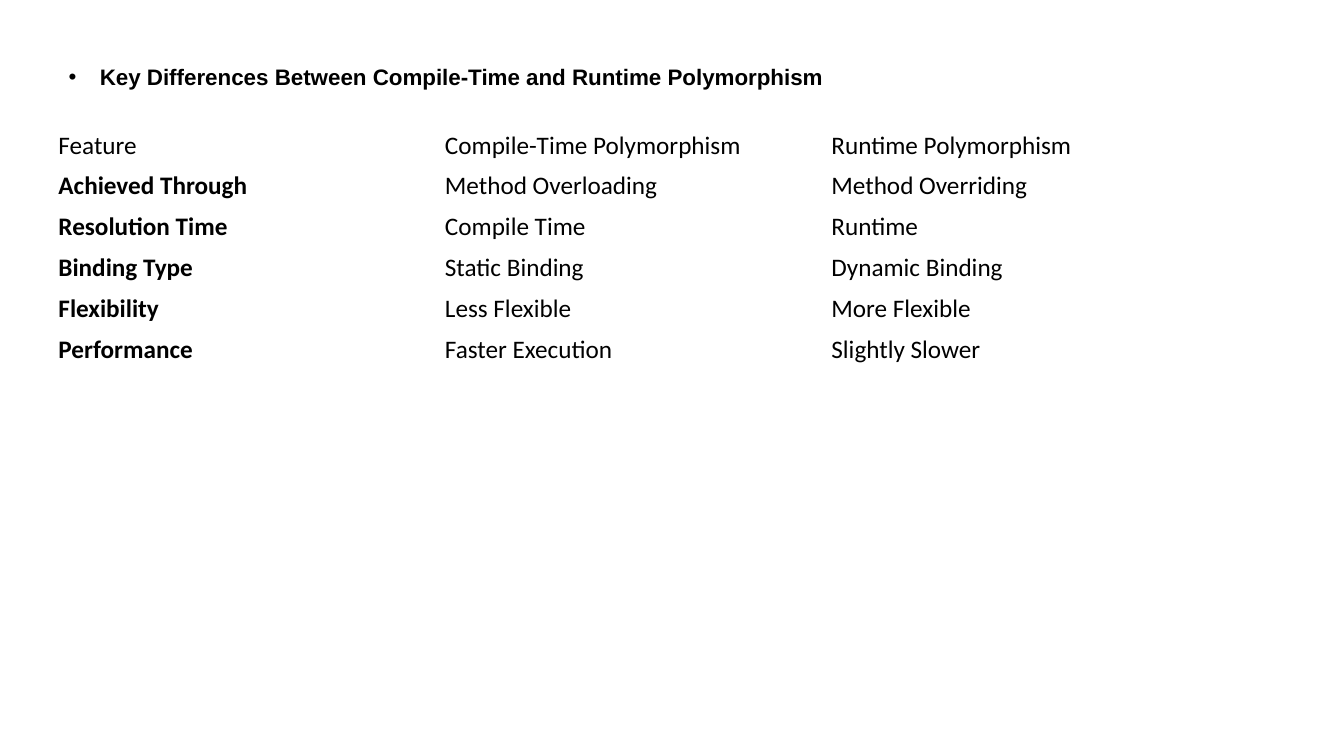
from lxml import etree
from pptx import Presentation
from pptx.dml.color import RGBColor
from pptx.enum import text
from pptx.oxml import ns
from pptx.util import Inches, Pt

# Content
HEADING = "Key Differences Between Compile-Time and Runtime Polymorphism"
ROWS = [
    ("Feature", "Compile-Time Polymorphism", "Runtime Polymorphism"),
    ("Achieved Through", "Method Overloading", "Method Overriding"),
    ("Resolution Time", "Compile Time", "Runtime"),
    ("Binding Type", "Static Binding", "Dynamic Binding"),
    ("Flexibility", "Less Flexible", "More Flexible"),
    ("Performance", "Faster Execution", "Slightly Slower"),
]
COLORS = {"text": "000000"}
ROW_HEIGHT = 0.4
TABLE_WIDTH = 11.5


def style(para, font_name, size, bold):
    for span in para.runs:
        span.font.name = font_name
        span.font.size = Pt(size)
        span.font.bold = bold
        span.font.color.rgb = RGBColor.from_string(COLORS["text"])


def add_bullet(para, indent):
    props = para._p.get_or_add_pPr()
    props.set("marL", str(Inches(indent)))
    props.set("indent", str(-Inches(indent)))
    etree.SubElement(props, ns.qn("a:buFont")).set("typeface", "Arial")
    etree.SubElement(props, ns.qn("a:buChar")).set("char", "•")


def add_heading(page):
    box = page.shapes.title
    box.left, box.top = Inches(0.58), Inches(0.56)
    box.width, box.height = Inches(12.5), Inches(0.67)
    frame = box.text_frame
    frame.text = HEADING
    frame.word_wrap = True
    frame.auto_size = text.MSO_AUTO_SIZE.NONE
    frame.vertical_anchor = text.MSO_ANCHOR.TOP
    frame.margin_top = Inches(0.07)
    para = frame.paragraphs[0]
    para.alignment = text.PP_ALIGN.LEFT
    add_bullet(para, 0.31)
    style(para, "Arial", 16, True)


def add_comparison(page):
    table = page.shapes.add_table(
        len(ROWS), len(ROWS[0]), Inches(0.48), Inches(1.24),
        Inches(TABLE_WIDTH), Inches(ROW_HEIGHT * len(ROWS))).table
    table.first_row = False
    table.horz_banding = False
    for row, values in enumerate(ROWS):
        for column, value in enumerate(values):
            cell = table.cell(row, column)
            cell.fill.background()
            cell.vertical_anchor = text.MSO_ANCHOR.MIDDLE
            cell.text_frame.text = value
            # Feature names are bold below the header row
            style(cell.text_frame.paragraphs[0], "Calibri", 18,
                  row > 0 and column == 0)


def main():
    deck = Presentation()
    deck.slide_width, deck.slide_height = Inches(13.33), Inches(7.5)
    page = deck.slides.add_slide(deck.slide_layouts.get_by_name("Title Only"))
    add_comparison(page)
    add_heading(page)
    deck.save("out.pptx")


if __name__ == "__main__":
    main()
